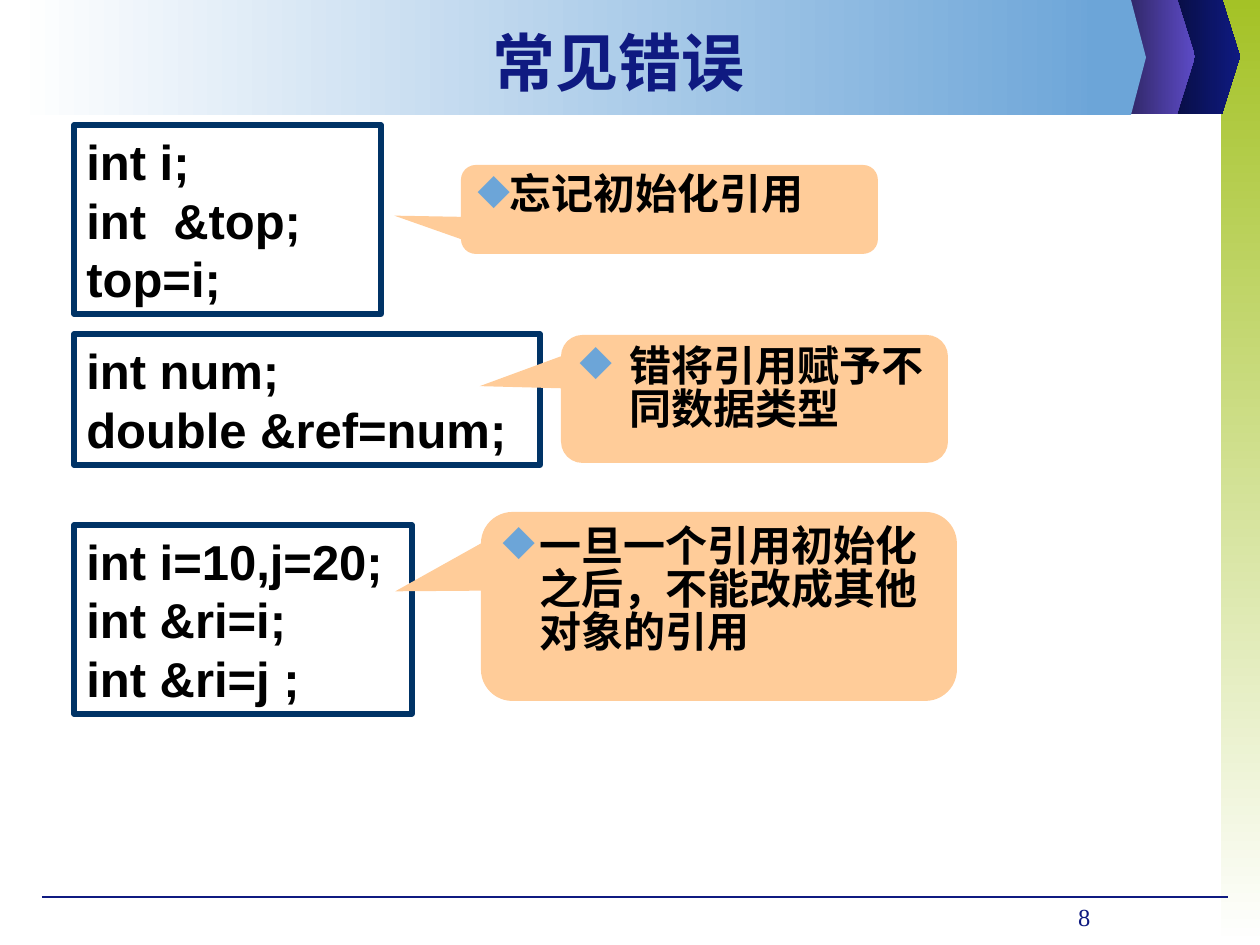
from lxml import etree
from pptx import Presentation
from pptx import util as u
from pptx.dml.color import RGBColor
from pptx.enum import shapes, text
from pptx.oxml import ns

THEME = dict(
    navy="0F1A81", sky="6CA5D8", frame="003366", peach="FFCC99", ink="000000",
    green="A4C226", white="FFFFFF", title_size=36, code_size=28, note_size=24,
    number_size=14, body_font="Arial", title_font="Noto Sans CJK SC",
    number_font="Times New Roman")

# Content: positions and sizes in px
TITLE = "常见错误"
PAGE_NUMBER = "8"
MISTAKES = [
    dict(code=["int i;", "int  &top;", "top=i;"], code_box=(74, 125, 307, 189),
         note="忘记初始化引用", note_box=(461, 165, 417, 89),
         pointer=(-0.66, 0.07), hang=0),
    dict(code=["int num;", "double &ref=num;"], code_box=(74, 334, 466, 131),
         note="错将引用赋予不同数据类型", note_box=(561, 335, 387, 128),
         pointer=(-0.71, -0.1), hang=50),
    dict(code=["int i=10,j=20;", "int &ri=i;", "int &ri=j ;"],
         code_box=(74, 525, 338, 189),
         note="一旦一个引用初始化之后，不能改成其他对象的引用",
         note_box=(481, 512, 476, 189), pointer=(-0.68, -0.08), hang=37),
]
# Chevrons: left, top, straight width, tip depth, fill colours
CHEVRONS = [
    (1166, -1, 56, 18, ("070C3C", THEME["navy"])),
    (1121, -1, 56, 18, ("2B235C", "5D4BC7")),
]
BAND_TIP = (1087, 0, 44, 15, (THEME["sky"],))
HEADER_HEIGHT = 115


def px(value):
    return u.Emu(round(value * 914400 / 126))


def rgb(value):
    return RGBColor.from_string(value)


def paint(shape, colors=(), angle=0, line=None):
    """Fill with nothing, one colour or a two-stop gradient."""
    shape.shadow.inherit = False
    if len(colors) == 2:
        shape.fill.gradient()
        shape.fill.gradient_angle = angle
        for stop, color in zip(shape.fill.gradient_stops, colors):
            stop.color.rgb = rgb(color)
    elif colors:
        shape.fill.solid()
        shape.fill.fore_color.rgb = rgb(colors[0])
    else:
        shape.fill.background()
    if line:
        shape.line.color.rgb = rgb(line)
        shape.line.width = u.Pt(3)
    else:
        shape.line.fill.background()


def add_block(kind, box, *style):
    shape = slide.shapes.add_shape(kind, *map(px, box))
    paint(shape, *style)
    return shape


def add_arrow_tab(left, top, width, tip, colors):
    bottom, right = HEADER_HEIGHT + top, left + width
    outline = slide.shapes.build_freeform(px(left), px(top), scale=1.0)
    outline.add_line_segments([(px(x), px(y)) for x, y in (
        (right, top), (right + tip, (top + bottom) / 2),
        (right, bottom), (left, bottom))], close=True)
    paint(outline.convert_to_shape(), colors)


def write(shape, lines, size, font, color, bold=True,
          anchor=text.MSO_ANCHOR.TOP, **paragraph_format):
    frame = shape.text_frame
    for name, value in dict(word_wrap=True, vertical_anchor=anchor,
                            auto_size=text.MSO_AUTO_SIZE.NONE).items():
        setattr(frame, name, value)
    frame.text = "\n".join(lines)
    for paragraph in frame.paragraphs:
        for name, value in paragraph_format.items():
            setattr(paragraph, name, value)
        run = paragraph.runs[0]
        for name, value in dict(size=u.Pt(size), name=font, bold=bold).items():
            setattr(run.font, name, value)
        run.font.color.rgb = rgb(color)
        east_asian = etree.SubElement(run.font._element, ns.qn("a:ea"))
        east_asian.set("typeface", font)


def add_bullet(paragraph, hang):
    properties = paragraph._p.get_or_add_pPr()
    properties.set("marL", str(px(hang)))
    properties.set("indent", str(-px(hang)))
    color = etree.SubElement(properties, ns.qn("a:buClr"))
    etree.SubElement(color, ns.qn("a:srgbClr")).set("val", THEME["sky"])
    etree.SubElement(properties, ns.qn("a:buChar")).set("char", "◆")


prs = Presentation()
prs.slide_width, prs.slide_height = px(1260), px(945)
slide = prs.slides.add_slide(prs.slide_layouts[5])
kinds = shapes.MSO_SHAPE

# Side strip, header band and footer rule
add_block(kinds.RECTANGLE, (1221, 0, 39, 945),
          (THEME["green"], THEME["white"]), 270)
for chevron in CHEVRONS:
    add_arrow_tab(*chevron)
rule = slide.shapes.add_connector(
    shapes.MSO_CONNECTOR.STRAIGHT, px(42), px(897), px(1228), px(897))
rule.line.color.rgb = rgb(THEME["navy"])
rule.line.width = u.Pt(0.75)
etree.SubElement(rule._element.spPr, ns.qn("a:effectLst"))
add_block(kinds.RECTANGLE, (15, 0, 1096, HEADER_HEIGHT),
          (THEME["white"], THEME["sky"]))
add_arrow_tab(*BAND_TIP)

# Title, raised above the header band
title = slide.shapes.title
title.left, title.top, title.width, title.height = map(px, (113, 18, 1012, 87))
slide.shapes._spTree.append(title._element)
write(title, [TITLE], THEME["title_size"], THEME["title_font"], THEME["navy"],
      anchor=text.MSO_ANCHOR.MIDDLE, alignment=text.PP_ALIGN.CENTER)

# Each mistake: framed code and a callout explaining it
for mistake in MISTAKES:
    code = add_block(kinds.RECTANGLE, mistake["code_box"], (), 0, THEME["frame"])
    write(code, mistake["code"], THEME["code_size"], THEME["body_font"],
          THEME["ink"], alignment=text.PP_ALIGN.LEFT)
    note = add_block(kinds.ROUNDED_RECTANGULAR_CALLOUT, mistake["note_box"],
                     (THEME["peach"],))
    for index, offset in enumerate(mistake["pointer"]):
        note.adjustments[index] = offset
    write(note, [mistake["note"]], THEME["note_size"], THEME["body_font"],
          THEME["ink"], alignment=text.PP_ALIGN.LEFT, line_spacing=0.85)
    add_bullet(note.text_frame.paragraphs[0], mistake["hang"])

# Page number
number = slide.shapes.add_textbox(*map(px, (1017, 896, 86, 49)))
write(number, [PAGE_NUMBER], THEME["number_size"], THEME["number_font"],
      THEME["navy"], bold=False, alignment=text.PP_ALIGN.RIGHT)

prs.save("out.pptx")
